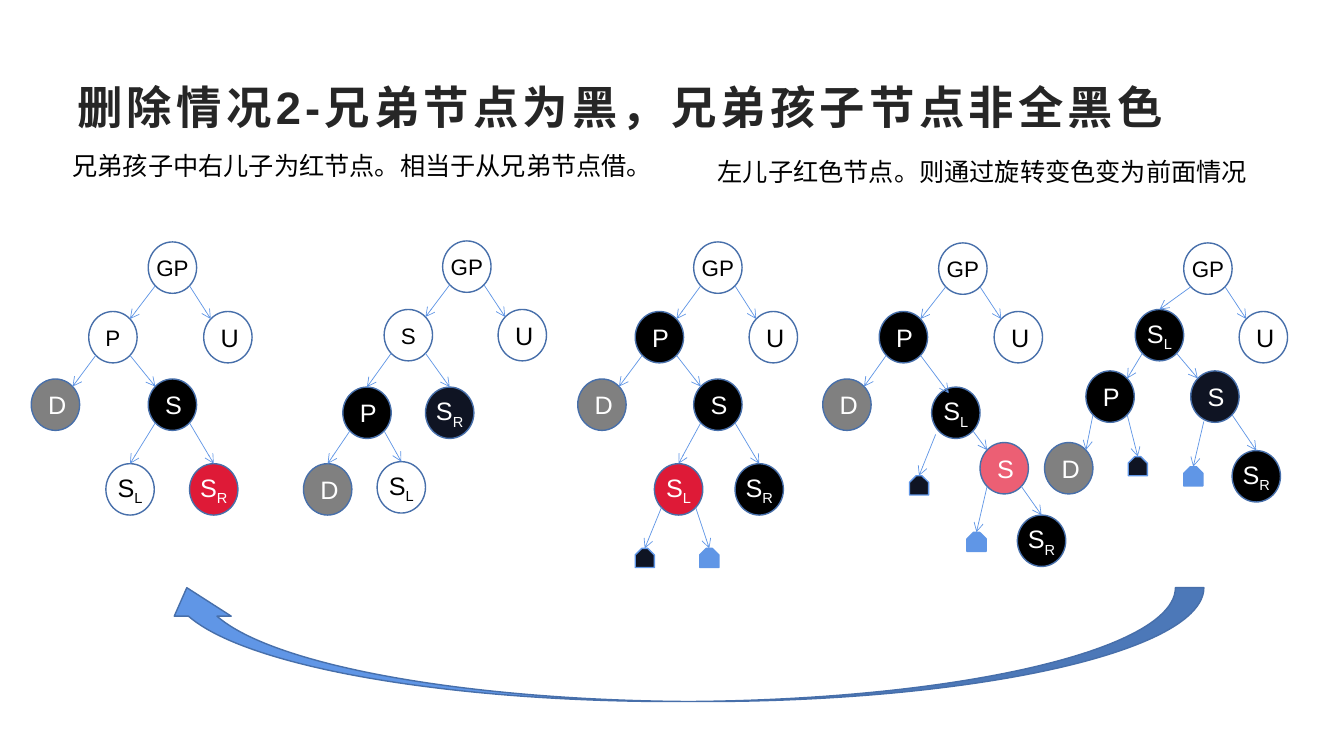
from dataclasses import dataclass
from math import sqrt

from lxml import etree
from pptx import Presentation
from pptx.dml.color import RGBColor
from pptx.enum.shapes import MSO_CONNECTOR, MSO_SHAPE
from pptx.enum.text import MSO_ANCHOR, PP_ALIGN
from pptx.oxml.ns import qn
from pptx.util import Pt

STRAIGHT = MSO_CONNECTOR.STRAIGHT
ELLIPSE = MSO_SHAPE.OVAL
SNIPPED = MSO_SHAPE.SNIP_2_SAME_RECTANGLE
SWOOP = MSO_SHAPE.CURVED_DOWN_ARROW
MIDDLE, TOP = MSO_ANCHOR.MIDDLE, MSO_ANCHOR.TOP
CENTER, LEFT = PP_ALIGN.CENTER, PP_ALIGN.LEFT

# ---- Content (lengths in px, 100 px to the inch) ----
SLIDE = (1333, 750)
TITLE = ("删除情况2-兄弟节点为黑，兄弟孩子节点非全黑色", (67, 67, 1200, 77))
CAPTIONS = [
    ("兄弟孩子中右儿子为红节点。相当于从兄弟节点借。", (62, 144, 680, 40)),
    ("左儿子红色节点。则通过旋转变色变为前面情况", (702, 150, 593, 40)),
]
SWOOP_BOX = (157, 583, 1037, 113)

# Node: name, colour, left, top, parent, where its edge arrives ("side" or "top").
# "_" starts a subscript; names beginning with "nil" are leaves without text.
TREES = [
    [("GP", "white", 147, 240, None, None),
     ("U", "white", 202, 309, "GP", "side"),
     ("P", "white", 88, 309, "GP", "side"),
     ("D", "gray", 31, 376, "P", "side"),
     ("S", "black", 147, 376, "P", "side"),
     ("S_R", "red", 188, 460, "S", "top"),
     ("S_L", "hollow", 105, 460, "S", "top")],
    [("GP", "white", 439, 239, None, None),
     ("U", "white", 494, 307, "GP", "side"),
     ("S", "white", 381, 307, "GP", "side"),
     ("P", "black", 340, 384, "S", "top"),
     ("S_R", "ink", 422, 384, "S", "top"),
     ("D", "gray", 301, 460, "P", "top"),
     ("S_L", "hollow", 374, 458, "P", "top")],
    [("GP", "white", 688, 240, None, None),
     ("U", "white", 743, 309, "GP", "side"),
     ("P", "black", 630, 309, "GP", "side"),
     ("D", "gray", 573, 376, "P", "side"),
     ("S", "black", 688, 376, "P", "side"),
     ("S_R", "black", 729, 460, "S", "top"),
     ("S_L", "red", 649, 460, "S", "top"),
     ("nil dark", "ink", 630, 544, "S_L", "top"),
     ("nil blue", "blue", 694, 544, "S_L", "top")],
    [("GP", "white", 931, 241, None, None),
     ("U", "white", 986, 309, "GP", "side"),
     ("P", "black", 872, 309, "GP", "side"),
     ("D", "gray", 816, 376, "P", "side"),
     ("S_L", "black", 924, 384, "P", "top"),
     ("S", "pink", 972, 439, "S_L", "side"),
     ("S_R", "black", 1009, 511, "S", "top"),
     ("nil dark", "ink", 902, 472, "S_L", "top"),
     ("nil blue", "blue", 959, 528, "S", "top")],
    [("GP", "white", 1174, 241, None, None),
     ("U", "white", 1229, 309, "GP", "side"),
     ("S_L", "black", 1126, 307, "GP", "top"),
     ("P", "black", 1077, 368, "S_L", "side"),
     ("S", "ink", 1181, 368, "S_L", "side"),
     ("D", "gray", 1036, 439, "P", "side"),
     ("S_R", "black", 1222, 447, "S", "top"),
     ("nil dark", "ink", 1119, 453, "P", "top"),
     ("nil blue", "blue", 1174, 463, "S", "top")],
]
# Edges with a loose end: (tree, child) -> (start, end), None where the rule holds
LOOSE_ENDS = {
    (3, "S_L"): (None, (941, 390)),
    (3, "nil dark"): ((928, 431), None),
    (4, "nil blue"): ((1194, 418), None),
}


@dataclass(frozen=True)
class Theme:
    font: str = "Arial"
    title: str = "262626"
    text: str = "000000"
    light: str = "FFFFFF"
    outline: str = "476FAA"
    edge: str = "6096E6"
    title_size: float = 32.4
    body_size: int = 18
    small_size: int = 16


THEME = Theme()
FILLS = {"white": "FFFFFF", "gray": "808080", "black": "000000", "ink": "0F1423",
         "red": "DE1A37", "pink": "EC5F74", "blue": THEME.edge, "hollow": None}
NODE_W, NODE_H, LEAF = 48, 51, 19
DIAGONAL = sqrt(0.5)
SCALE = 9144


def emu(*lengths):
    return [round(length * SCALE) for length in lengths]


def add_span(para, text, size, color):
    span = para.add_run()
    span.text = text
    span.font.name = THEME.font
    span.font.size = Pt(size)
    span.font.color.rgb = RGBColor.from_string(color)
    return span


def add_text(page, text, area, size, color, anchor):
    box = page.shapes.add_textbox(*emu(*area))
    frame = box.text_frame
    frame.word_wrap = True
    frame.vertical_anchor = anchor
    para = frame.paragraphs[0]
    para.alignment = LEFT
    return add_span(para, text, size, color)


def add_figure(page, preset, area, fill, outline):
    shape = page.shapes.add_shape(preset, *emu(*area))
    shape.shadow.inherit = False
    if fill:
        shape.fill.solid()
        shape.fill.fore_color.rgb = RGBColor.from_string(fill)
    else:
        shape.fill.background()
    shape.line.color.rgb = RGBColor.from_string(outline)
    shape.line.width = Pt(1)
    return shape


def add_node(page, name, color, left, top):
    if name.startswith("nil"):
        leaf = add_figure(page, SNIPPED, (left, top, LEAF, LEAF), FILLS[color], THEME.edge)
        leaf.adjustments[0] = 0.344
        return leaf
    node = add_figure(page, ELLIPSE, (left, top, NODE_W, NODE_H), FILLS[color], THEME.outline)
    frame = node.text_frame
    frame.vertical_anchor = MIDDLE
    letter, _, subscript = name.partition("_")
    small = color == "white" and name != "U"
    if small or subscript:
        frame.margin_left = frame.margin_right = 0
        frame.margin_top = frame.margin_bottom = 0
    para = frame.paragraphs[0]
    para.alignment = CENTER
    ink = THEME.text if color in ("white", "hollow") else THEME.light
    size = THEME.small_size if small else THEME.body_size
    add_span(para, letter, size, ink)
    if subscript:
        span = add_span(para, subscript, size, ink)
        span.font._element.set("baseline", "-25000")
    return node


def node_site(left, top, across, down):
    """Point on an ellipse, given as -1..1 from its centre."""
    return left + NODE_W / 2 * (1 + across), top + NODE_H / 2 * (1 + down)


def add_edge(page, start, end):
    edge = page.shapes.add_connector(STRAIGHT, *emu(*start, *end))
    edge.line.color.rgb = RGBColor.from_string(THEME.edge)
    edge.line.width = Pt(0.5)
    etree.SubElement(edge.line._get_or_add_ln(), qn("a:tailEnd"), type="arrow")
    etree.SubElement(edge._element.spPr, qn("a:effectLst"))
    return edge


def add_tree(page, index, nodes):
    places = {}
    for name, color, left, top, parent, arrival in nodes:
        shape = add_node(page, name, color, left, top)
        places[name] = (left, top)
        if parent is None:
            continue
        is_leaf = name.startswith("nil")
        width = LEAF if is_leaf else NODE_W
        parent_left, parent_top = places[parent]
        side = -1 if left + width / 2 < parent_left + NODE_W / 2 else 1
        start = node_site(parent_left, parent_top, side * DIAGONAL, DIAGONAL)
        if arrival == "top":
            end = (left + width / 2, top)
        else:
            end = node_site(left, top, -side * DIAGONAL, -DIAGONAL)
        loose_start, loose_end = LOOSE_ENDS.get((index, name), (None, None))
        edge = add_edge(page, loose_start or start, loose_end or end)
        if arrival == "top" and not is_leaf and not loose_end:
            edge.end_connect(shape, 0)


def main():
    deck = Presentation()
    deck.slide_width, deck.slide_height = emu(*SLIDE)
    page = deck.slides.add_slide(deck.slide_layouts[6])

    # Title and captions
    text, area = TITLE
    span = add_text(page, text, area, THEME.title_size, THEME.title, MIDDLE)
    span.font.bold = True
    span.font._element.set("spc", "300")
    for text, area in CAPTIONS:
        add_text(page, text, area, THEME.body_size, THEME.text, TOP)

    # Trees, then the arrow from the last one back to the first
    for index, nodes in enumerate(TREES):
        add_tree(page, index, nodes)
    swoop = add_figure(page, SWOOP, SWOOP_BOX, THEME.edge, THEME.outline)
    swoop.rotation = 180

    deck.save("out.pptx")


if __name__ == "__main__":
    main()
